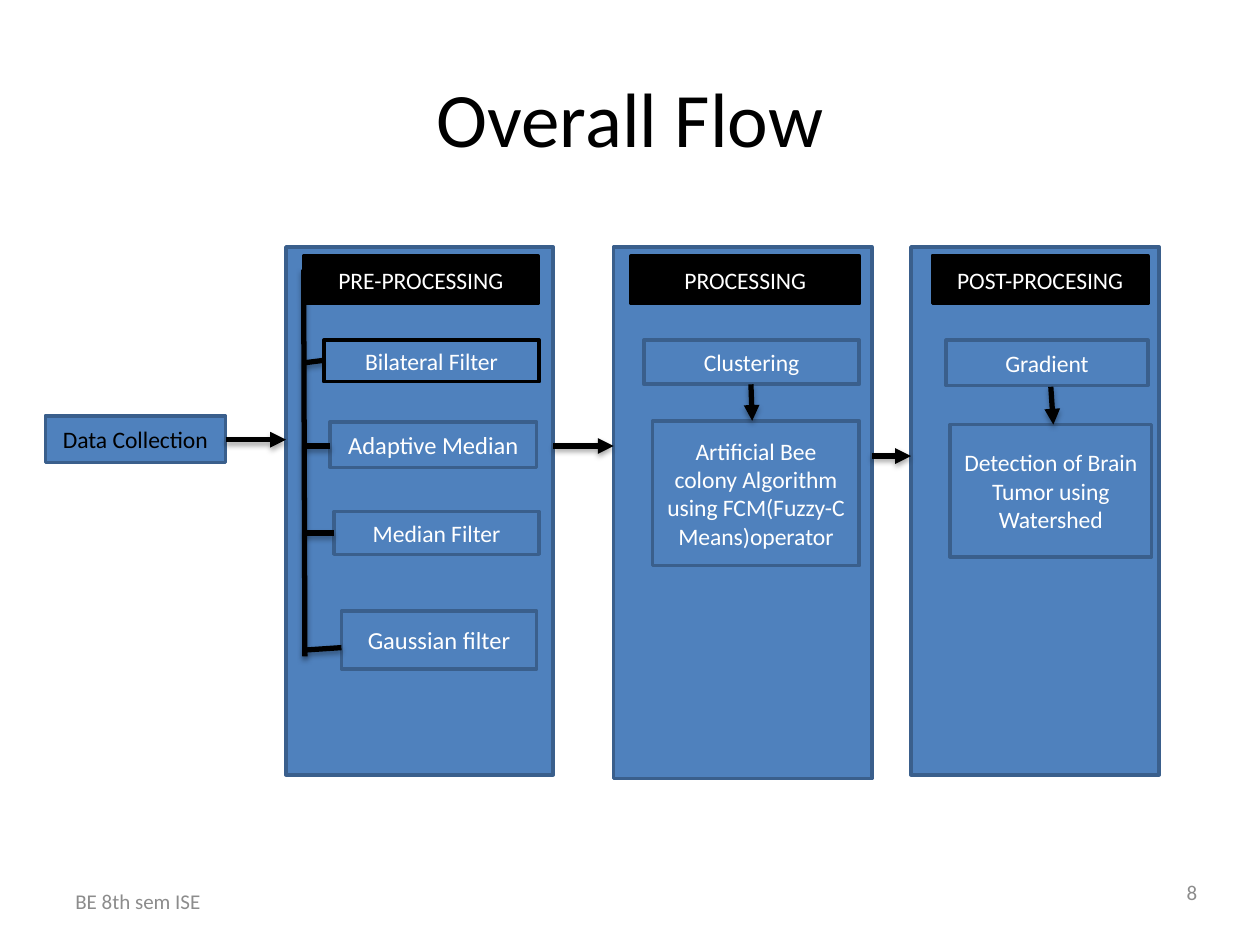
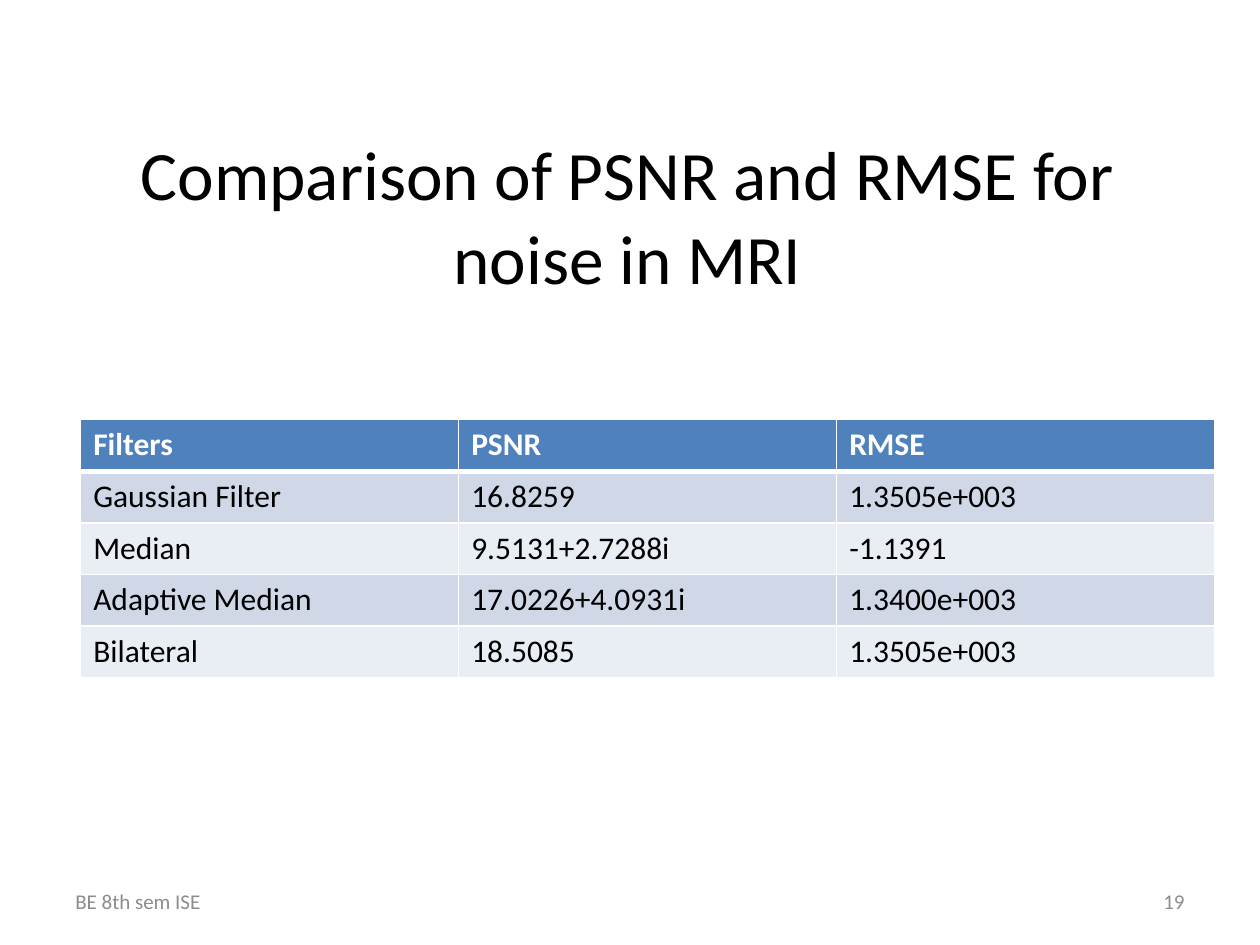
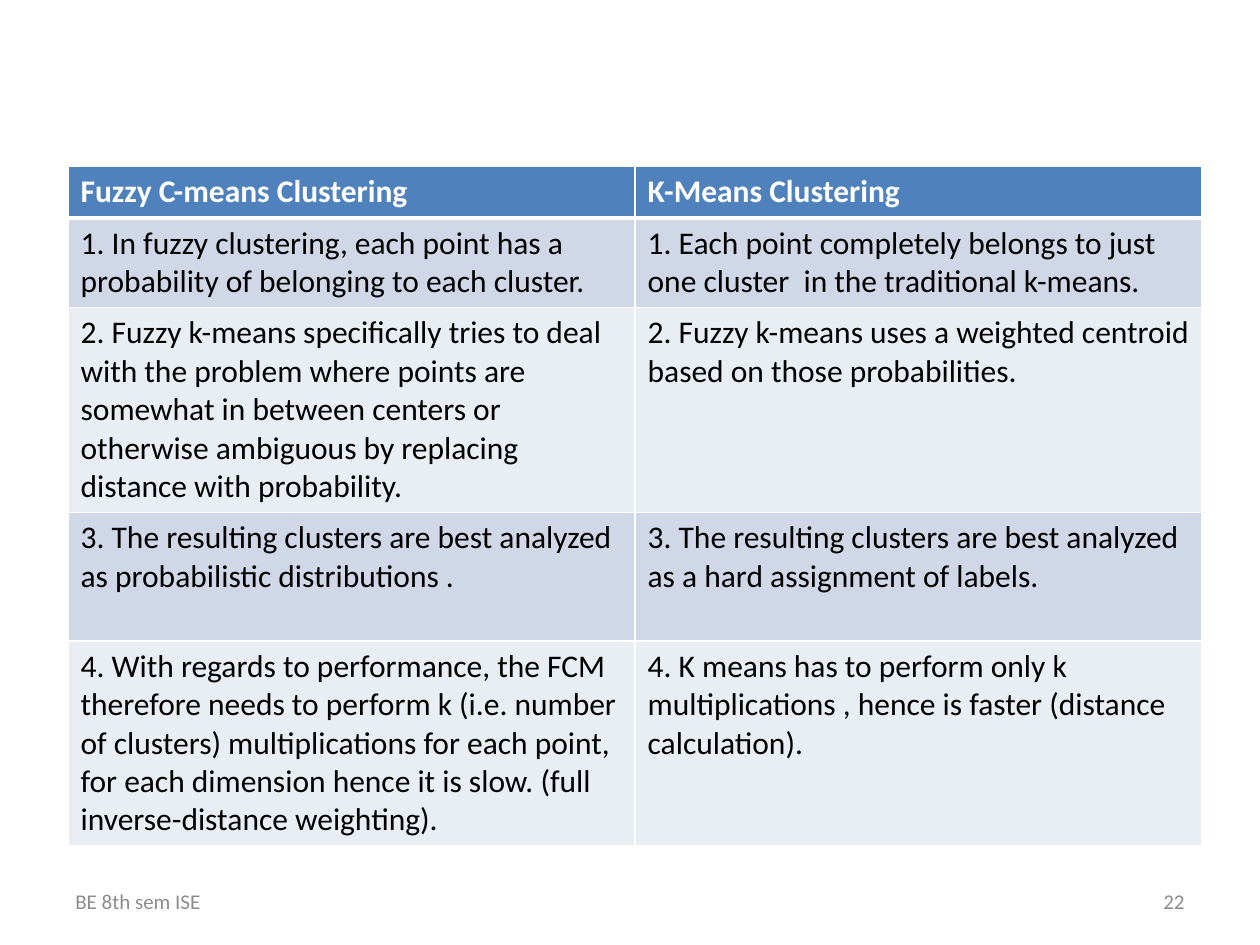
from dataclasses import dataclass

from lxml.etree import SubElement
from pptx import Presentation
from pptx.dml.color import RGBColor
from pptx.enum.shapes import MSO_CONNECTOR, MSO_SHAPE
from pptx.enum.text import MSO_ANCHOR, MSO_AUTO_SIZE, PP_ALIGN
from pptx.oxml import parse_xml
from pptx.oxml.ns import nsdecls, qn
from pptx.slide import Slide
from pptx.text.text import TextFrame
from pptx.util import Inches, Pt

BLACK = RGBColor(0x00, 0x00, 0x00)
WHITE = RGBColor(0xFF, 0xFF, 0xFF)
BLUE = RGBColor(0x4F, 0x81, 0xBD)
NAVY = RGBColor(0x3A, 0x5F, 0x8C)
GRAY = RGBColor(0x8C, 0x8C, 0x8C)
BANDS = (RGBColor(0xD0, 0xD8, 0xE8), RGBColor(0xE9, 0xED, 0xF4))
FONT = "Calibri"
TITLE_ONLY, BLANK = 5, 6
PANEL_TOP, HEAD_TOP, HEAD_HEIGHT = 1.96, 2.03, 0.38
TRUNK = 2.41


@dataclass
class Box:
    left: float
    top: float
    width: float
    height: float
    text: str = ""
    fill: RGBColor = BLUE
    edge: RGBColor = NAVY
    ink: RGBColor = WHITE
    size: float = 13.5


@dataclass
class Stage:
    """A tall panel with a black heading and its steps."""
    name: str
    left: float
    width: float
    height: float
    head_left: float
    head_width: float
    steps: list[Box]


@dataclass
class Link:
    x1: float
    y1: float
    x2: float
    y2: float
    arrow: bool = False


@dataclass
class Grid:
    left: float
    top: float
    width: float
    heights: list[float]
    rows: list[tuple[str, ...]]


SOURCE = Box(0.36, 3.3, 1.43, 0.37, "Data Collection", ink=BLACK)
STAGES = [
    Stage("PRE-PROCESSING", 2.27, 2.12, 4.19, 2.41, 1.86, [
        Box(2.57, 2.7, 1.71, 0.33, "Bilateral Filter", edge=BLACK),
        Box(2.62, 3.35, 1.64, 0.36, "Adaptive Median", size=14),
        Box(2.65, 4.06, 1.63, 0.34, "Median Filter"),
        Box(2.71, 4.85, 1.55, 0.46, "Gaussian filter", size=14),
    ]),
    Stage("PROCESSING", 4.87, 2.05, 4.22, 5.01, 1.81, [
        Box(5.11, 2.7, 1.71, 0.35, "Clustering"),
        Box(5.18, 3.34, 1.64, 1.15,
            "Artificial Bee colony Algorithm using FCM(Fuzzy-C Means)operator"),
    ]),
    Stage("POST-PROCESING", 7.23, 1.97, 4.19, 7.4, 1.71, [
        Box(7.51, 2.7, 1.6, 0.36, "Gradient"),
        Box(7.54, 3.37, 1.6, 1.05, "Detection of Brain Tumor using Watershed"),
    ]),
]
LINKS = [
    Link(1.79, 3.49, 2.27, 3.49, True),
    Link(4.39, 3.54, 4.87, 3.54, True),
    Link(6.92, 3.62, 7.23, 3.62, True),
    Link(TRUNK, 2.14, 2.42, 5.21),
    Link(TRUNK, 5.16, 2.71, 5.14),
    Link(TRUNK, 4.23, 2.65, 4.23),
    Link(TRUNK, 3.54, 2.62, 3.54),
    Link(TRUNK, 2.88, 2.57, 2.86),
    Link(5.96, 3.05, 5.97, 3.34, True),
    Link(8.34, 3.07, 8.36, 3.37, True),
]
SCORES = Grid(0.64, 3.33, 9, [0.41] * 5, [
    ("Filters", "PSNR", "RMSE"),
    ("Gaussian Filter", "16.8259", "1.3505e+003"),
    ("Median", "9.5131+2.7288i", "-1.1391"),
    ("Adaptive Median", "17.0226+4.0931i", "1.3400e+003"),
    ("Bilateral", "18.5085", "1.3505e+003"),
])
METHODS = Grid(0.54, 1.32, 9, [0.41, 0.71, 1.62, 1.02, 1.62], [
    ("Fuzzy C-means Clustering", "K-Means Clustering"),
    ("1. In fuzzy clustering, each point has a probability of belonging to "
     "each cluster.",
     "1. Each point completely belongs to just one cluster  in the "
     "traditional k-means."),
    ("2. Fuzzy k-means specifically tries to deal with the problem where "
     "points are somewhat in between centers or otherwise ambiguous by "
     "replacing distance with probability.",
     "2. Fuzzy k-means uses a weighted centroid based on those "
     "probabilities."),
    ("3. The resulting clusters are best analyzed as probabilistic "
     "distributions .",
     "3. The resulting clusters are best analyzed as a hard assignment of "
     "labels."),
    ("4. With regards to performance, the FCM therefore needs to perform k "
     "(i.e. number of clusters) multiplications for each point, for each "
     "dimension hence it is slow. (full inverse-distance weighting).",
     "4. K means has to perform only k multiplications , hence is faster "
     "(distance calculation)."),
])


def write(frame: TextFrame, text: str, *, size: float, ink: RGBColor = BLACK,
          bold: bool = False, align: PP_ALIGN = PP_ALIGN.LEFT,
          anchor: MSO_ANCHOR = MSO_ANCHOR.MIDDLE) -> None:
    frame.word_wrap = True
    frame.vertical_anchor = anchor
    para = frame.paragraphs[0]
    para.alignment = align
    run = para.add_run()
    run.text = text
    font = run.font
    font.name, font.size, font.bold = FONT, Pt(size), bold
    font.color.rgb = ink


def add_title(slide: Slide, text: str, left: float, top: float,
              size: float) -> None:
    title = slide.shapes.title
    title.left, title.top = Inches(left), Inches(top)
    title.width, title.height = Inches(9), Inches(1.25)
    title.text_frame.auto_size = MSO_AUTO_SIZE.NONE
    write(title.text_frame, text, size=size, align=PP_ALIGN.CENTER)


def add_note(slide: Slide, text: str, left: float, top: float,
             align: PP_ALIGN) -> None:
    note = slide.shapes.add_textbox(
        Inches(left), Inches(top), Inches(2.33), Inches(0.4))
    write(note.text_frame, text, size=12, ink=GRAY, align=align)


def add_footer(slide: Slide, page: int, left: float = 7.17,
               top: float = 6.95) -> None:
    add_note(slide, "BE 8th sem ISE", 0.5, 6.95, PP_ALIGN.LEFT)
    add_note(slide, str(page), left, top, PP_ALIGN.RIGHT)


def add_box(slide: Slide, box: Box) -> None:
    shape = slide.shapes.add_shape(
        MSO_SHAPE.RECTANGLE, Inches(box.left), Inches(box.top),
        Inches(box.width), Inches(box.height))
    shape.shadow.inherit = False
    shape.fill.solid()
    shape.fill.fore_color.rgb = box.fill
    shape.line.color.rgb = box.edge
    shape.line.width = Pt(2)
    if box.text:
        write(shape.text_frame, box.text, size=box.size, ink=box.ink,
              align=PP_ALIGN.CENTER)


def add_stage(slide: Slide, stage: Stage) -> None:
    add_box(slide, Box(stage.left, PANEL_TOP, stage.width, stage.height))
    add_box(slide, Box(stage.head_left, HEAD_TOP, stage.head_width,
                       HEAD_HEIGHT, stage.name, BLACK, BLACK))
    for step in stage.steps:
        add_box(slide, step)


def add_link(slide: Slide, link: Link) -> None:
    line = slide.shapes.add_connector(
        MSO_CONNECTOR.STRAIGHT, Inches(link.x1), Inches(link.y1),
        Inches(link.x2), Inches(link.y2))
    line.line.color.rgb = BLACK
    line.line.width = Pt(3)
    if link.arrow:
        SubElement(line.line._get_or_add_ln(), qn("a:tailEnd"),
                   type="triangle")
    line._element.spPr.append(parse_xml(
        f'<a:effectLst {nsdecls("a")}>'
        f'<a:outerShdw blurRad="{Pt(3.1)}" dist="{Pt(1.8)}" dir="5400000" '
        'rotWithShape="0"><a:srgbClr val="000000"><a:alpha val="35000"/>'
        '</a:srgbClr></a:outerShdw></a:effectLst>'))


def add_grid(slide: Slide, grid: Grid) -> None:
    count = len(grid.rows[0])
    table = slide.shapes.add_table(
        len(grid.rows), count, Inches(grid.left), Inches(grid.top),
        Inches(grid.width), Inches(sum(grid.heights))).table
    table.horz_banding = False
    for col in table.columns:
        col.width = Inches(grid.width / count)
    for r, (texts, height) in enumerate(zip(grid.rows, grid.heights)):
        table.rows[r].height = Inches(height)
        head = r == 0
        for c, text in enumerate(texts):
            cell = table.cell(r, c)
            cell.fill.solid()
            cell.fill.fore_color.rgb = BLUE if head else BANDS[(r - 1) % 2]
            write(cell.text_frame, text, size=18, bold=head,
                  ink=WHITE if head else BLACK, anchor=MSO_ANCHOR.TOP)
            props = cell._tc.get_or_add_tcPr()
            widths = {"L": 1, "R": 1, "T": 3 if r == 1 else 1,
                      "B": 3 if head else 1}
            for spot, (side, width) in enumerate(widths.items()):
                props.insert(spot, parse_xml(
                    f'<a:ln{side} {nsdecls("a")} w="{Pt(width)}"><a:solidFill>'
                    f'<a:srgbClr val="{WHITE}"/></a:solidFill></a:ln{side}>'))


def main() -> None:
    deck = Presentation()
    deck.slide_width, deck.slide_height = Inches(10), Inches(7.5)
    layouts = deck.slide_layouts

    flow = deck.slides.add_slide(layouts[TITLE_ONLY])
    add_title(flow, "Overall Flow", 0.5, 0.3, 44)
    add_box(flow, SOURCE)
    for stage in STAGES:
        add_stage(flow, stage)
    for link in LINKS:
        add_link(flow, link)
    add_footer(flow, 8, 7.27, 6.88)

    noise = deck.slides.add_slide(layouts[TITLE_ONLY])
    add_title(noise, "Comparison of PSNR and RMSE for noise in MRI",
              0.48, 1.08, 39.6)
    add_grid(noise, SCORES)
    add_footer(noise, 19)

    means = deck.slides.add_slide(layouts[BLANK])
    add_grid(means, METHODS)
    add_footer(means, 22)

    deck.save("out.pptx")


if __name__ == "__main__":
    main()
